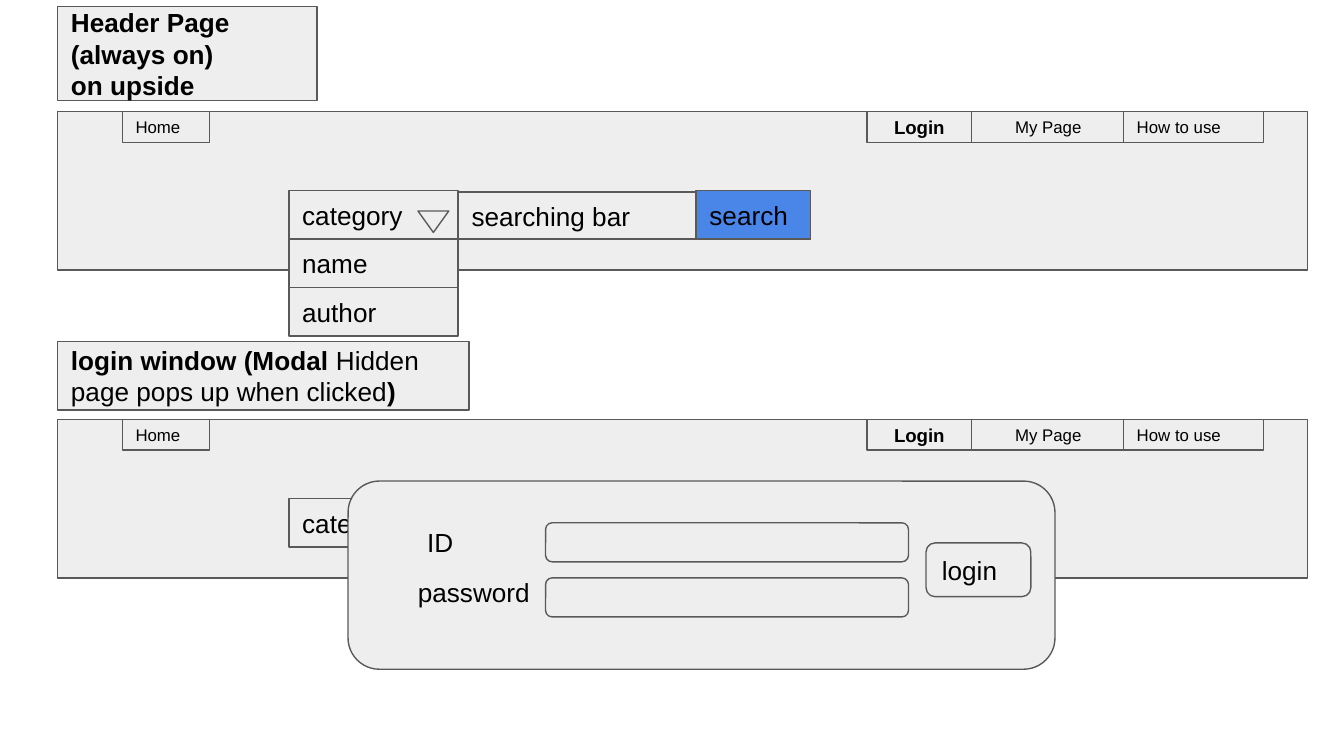
from pptx import Presentation
from pptx.dml.color import RGBColor
from pptx.enum.shapes import MSO_SHAPE as Kind
from pptx.enum.text import MSO_ANCHOR as Anchor, PP_ALIGN as Align
from pptx.util import Inches, Pt

GRAY = RGBColor(0xEE, 0xEE, 0xEE)
EDGE = RGBColor(0x59, 0x59, 0x59)
BLUE = RGBColor(0x4A, 0x86, 0xE8)
BLACK = RGBColor(0, 0, 0)

# Content: each paragraph is a list of (text, bold) runs
HEAD = [[(line, True)] for line in ("Header Page", "(always on)", "on upside")]
MODAL = [[("login window (Modal ", True),
          ("Hidden page pops up when clicked", False), (")", True)]]
# Navigation: text, left, width, size, bold, alignment
NAV = [
    ("Home", 0.91, 0.65, 9, False, Align.LEFT),
    ("Login", 6.45, 0.78, 10, True, Align.CENTER),
    ("My Page", 7.23, 1.14, 9, False, Align.CENTER),
    ("How to use", 8.36, 1.04, 9, False, Align.LEFT),
]
MENU = ["category", "name", "author"]
# Login fields: label, left, top, width, top of the input
FIELDS = [("ID", 3.08, 3.89, 0.47, 3.89), ("password", 3.01, 4.26, 1.09, 4.3)]

LEFT, BAR_W, BAR_H = 0.43, 9.3, 1.18
MENU_X, MENU_W, ROW = 2.15, 1.26, 0.36

prs = Presentation()
prs.slide_width = Inches(10)
prs.slide_height = Inches(10 * 9 / 16)
slide = prs.slides.add_slide(prs.slide_layouts[6])
shapes = slide.shapes


def write(shape, paras, size=14, bold=False, align=Align.LEFT):
    frame = shape.text_frame
    frame.word_wrap = True
    frame.vertical_anchor = Anchor.MIDDLE
    frame.margin_left = frame.margin_right = Inches(0.1)
    frame.margin_top = frame.margin_bottom = Inches(0.1)
    if isinstance(paras, str):
        paras = [[(paras, bold)]]
    for i, runs in enumerate(paras):
        para = frame.add_paragraph() if i else frame.paragraphs[0]
        para.alignment = align
        font = para.font
        font.name, font.size, font.color.rgb = "Arial", Pt(size), BLACK
        for text, heavy in runs:
            run = para.add_run()
            run.text, run.font.bold = text, heavy


def box(x, y, w, h, text=None, kind=Kind.RECTANGLE, fill=GRAY, **style):
    shape = shapes.add_shape(kind, Inches(x), Inches(y), Inches(w), Inches(h))
    shape.shadow.inherit = False
    shape.fill.solid()
    shape.fill.fore_color.rgb = fill
    shape.line.color.rgb = EDGE
    shape.line.width = Pt(0.75)
    if text:
        write(shape, text, **style)


def header(y):
    box(LEFT, y, BAR_W, BAR_H)
    for text, x, w, size, bold, align in NAV:
        box(x, y, w, 0.23, text, size=size, bold=bold, align=align)


# Header page with search and open menu
box(LEFT, 0.05, 1.93, 0.7, HEAD)
header(0.83)
box(3.41, 1.43, 2.62, 0.35, "searching bar")
box(5.18, 1.42, 0.85, ROW, "search", fill=BLUE)
for i, text in enumerate(MENU):
    box(MENU_X, 1.42 + i * ROW, MENU_W, ROW, text)
box(3.11, 1.57, 0.23, 0.16, kind=Kind.FLOWCHART_MERGE)

# Second header, behind the login window
box(LEFT, 2.54, 3.06, 0.51, MODAL)
header(3.12)
box(MENU_X, 3.71, MENU_W, ROW, MENU[0])

# Login window
box(2.59, 3.58, 5.26, 1.4, kind=Kind.ROUNDED_RECTANGLE)
for text, x, y, w, top in FIELDS:
    box(4.06, top, 2.7, 0.29, kind=Kind.ROUNDED_RECTANGLE)
    write(shapes.add_textbox(Inches(x), Inches(y), Inches(w), Inches(0.29)), text)
box(6.89, 4.04, 0.78, 0.4, "login", kind=Kind.ROUNDED_RECTANGLE)

prs.save("out.pptx")
